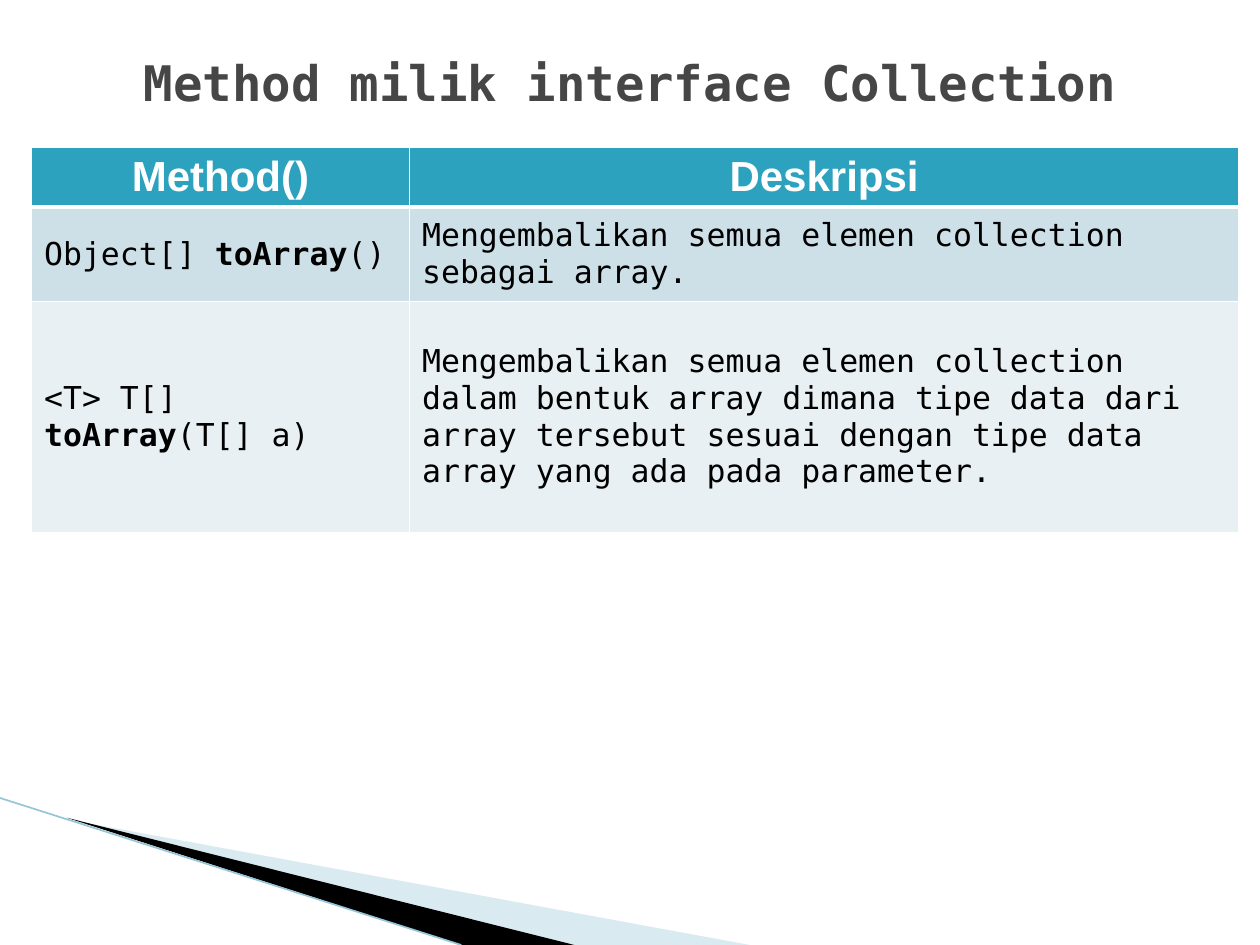
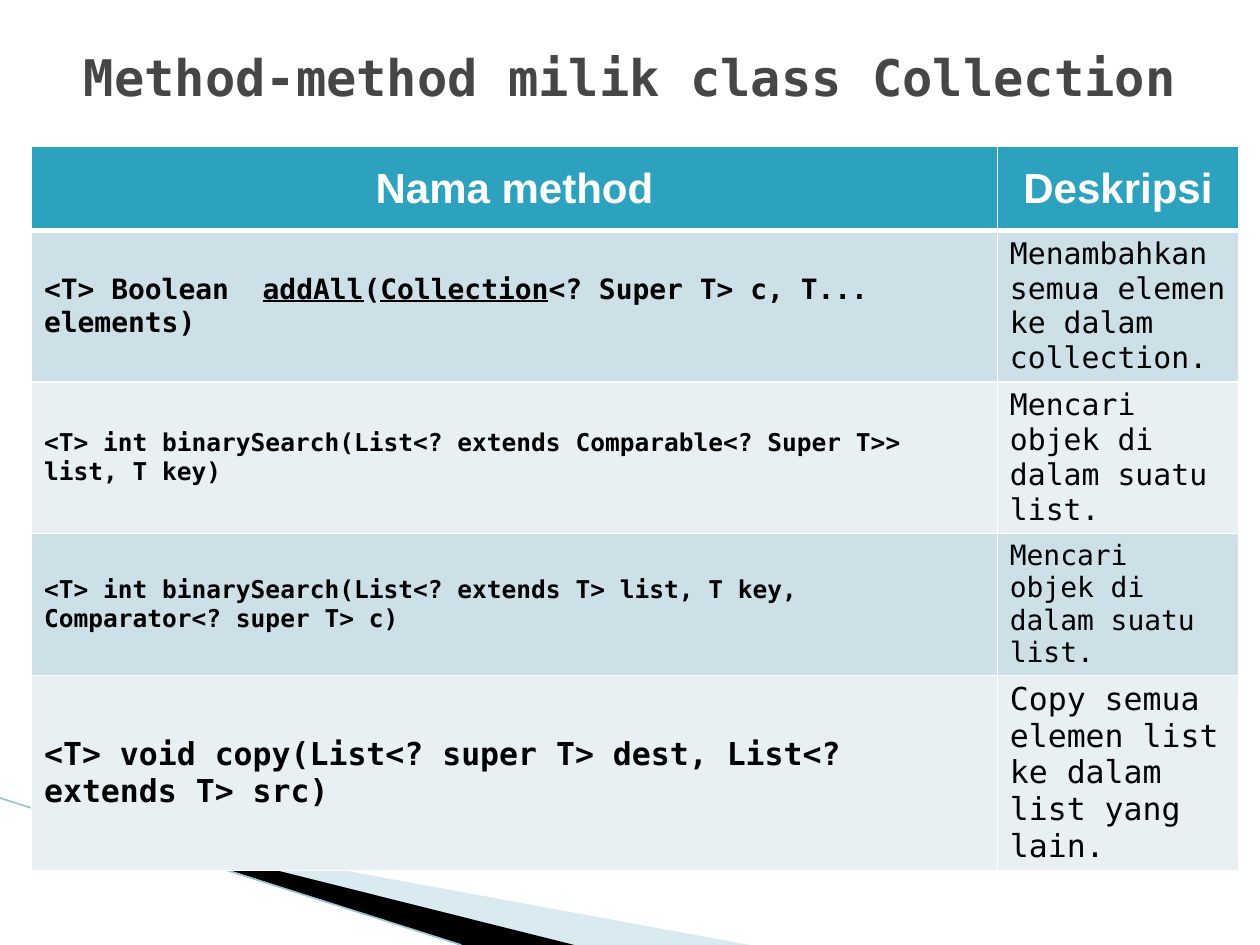
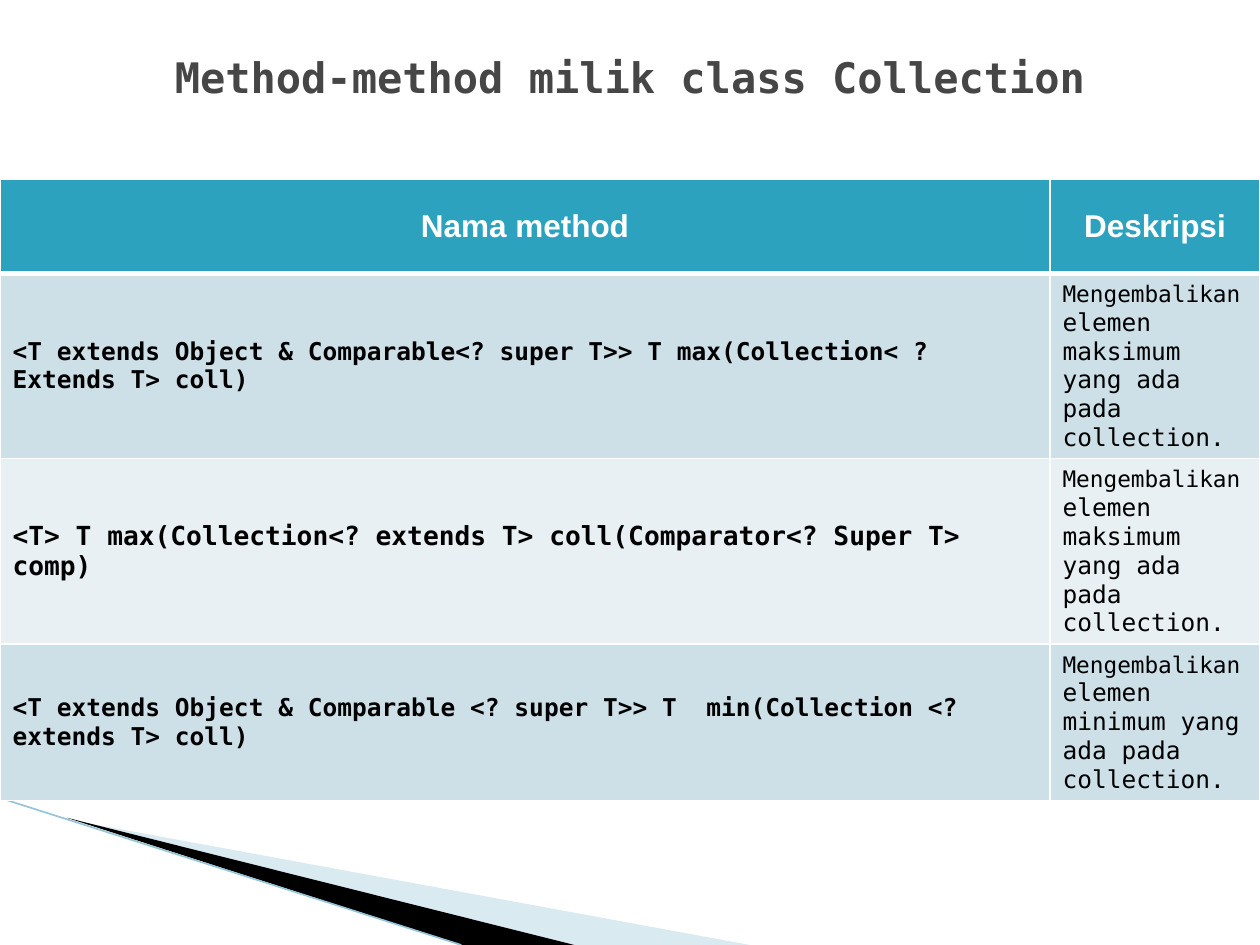
from lxml import etree
from pptx import Presentation
from pptx.dml.color import RGBColor
from pptx.enum.shapes import MSO_CONNECTOR
from pptx.enum.text import MSO_ANCHOR, MSO_AUTO_SIZE, PP_ALIGN
from pptx.oxml.ns import qn
from pptx.util import Pt

STRAIGHT = MSO_CONNECTOR.STRAIGHT
MIDDLE = MSO_ANCHOR.MIDDLE
NO_FIT = MSO_AUTO_SIZE.NONE
CENTER, LEFT = PP_ALIGN.CENTER, PP_ALIGN.LEFT

HEAD_FONT, CODE_FONT = "Arial", "DejaVu Sans Mono"
WHITE, BLACK, TITLE_GREY = "FFFFFF", "000000", "464646"
HEAD_FILL, ROW_FILLS = "2DA2BF", ("CDE0E8", "E8F0F4")
SWOOSH_BLUE, SWOOSH_EDGE = "A0CBDC", "97C5D8"
TITLE_ONLY = 5

SLIDES = [
    {
        "title": "Method milik interface Collection",
        "title_size": 28,
        "title_height": 50.4,
        "table_box": (18, 84.25, 689.8),
        "columns": (216, 473.8),
        "heights": (31, 54, 132),
        "head_size": 24,
        "head": ("Method()", "Deskripsi"),
        "rows": [
            ([("Object[] ", 18, ""), ("toArray", 18, "b"), ("()", 18, "")],
             [("Mengembalikan semua elemen collection sebagai array.", 18, "")]),
            ([("<T> T[]  ", 18, ""), ("toArray", 18, "b"), ("(T[] a)", 18, "")],
             [("Mengembalikan semua elemen collection dalam bentuk array dimana "
               "tipe data dari array tersebut sesuai dengan tipe data array yang "
               "ada pada parameter.", 18, "")]),
        ],
    },
    {
        "title": "Method-method milik class Collection",
        "title_size": 28.8,
        "title_height": 44.6,
        "table_box": (18, 83.75, 689.8),
        "columns": (551.9, 137.9),
        "heights": (48, 67.5, 67.5, 67.5, 67.5),
        "head_size": 24,
        "head": ("Nama method", "Deskripsi"),
        "rows": [
            ([("<T> Boolean  ", 16, "b"), ("addAll", 16, "bu"), ("(", 16, "b"),
              ("Collection", 16, "bu"), ("<? Super T> c, T... elements)", 16, "b")],
             [("Menambahkan semua elemen ke dalam collection.", 17, "")]),
            ([("<T> int binarySearch(List<? extends Comparable<? Super T>> "
               " list, T key)", 14, "b")],
             [("Mencari objek di dalam suatu list.", 17, "")]),
            ([("<T> int binarySearch(List<? extends T> list, T key, "
               "Comparator<? super T> c)", 14, "b")],
             [("Mencari objek di dalam suatu list.", 16, "")]),
            ([("<T> void copy(List<? super T> dest, List<? extends T> src)", 18, "b")],
             [("Copy semua elemen list ke dalam list yang lain.", 18, "")]),
        ],
    },
    {
        "title": "Method-method milik class Collection",
        "title_size": 24,
        "title_height": 44.6,
        "table_box": (0, 102.25, 720),
        "columns": (600, 120),
        "heights": (54, 67.5, 67.5, 67.5),
        "head_size": 18,
        "head": ("Nama method", "Deskripsi"),
        "rows": [
            ([("<T extends Object & Comparable<? super T>> T max(Collection< ? "
               "Extends T> coll)", 14, "b")],
             [("Mengembalikan", 13, ""),
              (" elemen maksimum yang ada pada collection.", 14, "")]),
            ([("<T> T max(Collection<? extends T> coll(Comparator<? Super T> comp)",
               15, "b")],
             [("Mengembalikan", 13, ""),
              (" elemen maksimum yang ada pada collection.", 14, "")]),
            ([("<T extends Object & Comparable <? super T>> T  min(Collection <? "
               "extends T> coll)", 14, "b")],
             [("Mengembalikan", 13, ""),
              (" elemen minimum yang ada pada collection.", 14, "")]),
        ],
    },
]


def rgb(value):
    """Turn a hex string into a colour."""
    return RGBColor.from_string(value)


def style_font(font, name, size, color, marks=""):
    """Set the face, size, colour and marks (b bold, u underline) of a font."""
    font.name, font.size = name, Pt(size)
    font.color.rgb = rgb(color)
    font.bold, font.underline = "b" in marks, "u" in marks


def add_wedge(page, points, color, opacity=100):
    """Draw a borderless polygon through the points."""
    corners = [(Pt(x), Pt(y)) for x, y in points]
    builder = page.shapes.build_freeform(*corners[0], scale=1.0)
    builder.add_line_segments(corners[1:], close=True)
    wedge = builder.convert_to_shape()
    wedge.shadow.inherit = False
    wedge.fill.solid()
    wedge.fill.fore_color.rgb = rgb(color)
    wedge.line.fill.background()
    if opacity < 100:
        tint = wedge.element.spPr.find(".//" + qn("a:srgbClr"))
        etree.SubElement(tint, qn("a:alpha")).set("val", str(opacity * 1000))
    return wedge


def add_swoosh(page):
    """Draw the corner swoosh and hand it to the layout that all slides share."""
    pale = add_wedge(page, [(39.6, 468.5), (428.4, 540), (328.3, 540)], SWOOSH_BLUE, 40)
    dark = add_wedge(page, [(38.2, 467.3), (328.3, 540), (263.6, 540)], BLACK)
    edge = page.shapes.add_connector(STRAIGHT, Pt(0), Pt(456), Pt(263.6), Pt(540))
    edge.line.color.rgb = rgb(SWOOSH_EDGE)
    edge.line.width = Pt(0.95)
    etree.SubElement(edge.element.spPr, qn("a:effectLst"))
    for number, part in enumerate((pale, dark, edge), start=101):
        part.element.xpath(".//p:cNvPr")[0].set("id", str(number))
        page.slide_layout.shapes.element.append(part.element)


def set_title(page, text, size, box):
    """Place and format the title placeholder."""
    title = page.shapes.title
    title.left, title.top, title.width, title.height = map(Pt, box)
    frame = title.text_frame
    frame.text = text
    frame.word_wrap = True
    frame.auto_size = NO_FIT
    frame.vertical_anchor = MIDDLE
    para = frame.paragraphs[0]
    para.alignment = CENTER
    style_font(para.runs[0].font, CODE_FONT, size, TITLE_GREY, "b")


def set_borders(cell, top, bottom):
    """Give a cell white borders, with the stated widths above and below."""
    properties = cell._tc.get_or_add_tcPr()
    sides = (("a:lnL", 1), ("a:lnR", 1), ("a:lnT", top), ("a:lnB", bottom))
    for index, (tag, width) in enumerate(sides):
        line = etree.Element(qn(tag), w=str(Pt(width)))
        fill = etree.SubElement(line, qn("a:solidFill"))
        etree.SubElement(fill, qn("a:srgbClr"), val=WHITE)
        properties.insert(index, line)


def fill_cell(cell, spans, font_name, color, fill, alignment):
    """Write formatted spans into a filled cell."""
    cell.fill.solid()
    cell.fill.fore_color.rgb = rgb(fill)
    cell.vertical_anchor = MIDDLE
    para = cell.text_frame.paragraphs[0]
    para.alignment = alignment
    for text, size, marks in spans:
        span = para.add_run()
        span.text = text
        style_font(span.font, font_name, size, color, marks)


def add_method_table(page, content):
    """Add the table of methods and their descriptions."""
    left, top, width = content["table_box"]
    heights, columns = content["heights"], content["columns"]
    table = page.shapes.add_table(
        len(heights), len(columns), Pt(left), Pt(top), Pt(width), Pt(sum(heights))
    ).table
    table.horz_banding = False
    for column, column_width in zip(table.columns, columns):
        column.width = Pt(column_width)
    for row, height in zip(table.rows, heights):
        row.height = Pt(height)
    for index, label in enumerate(content["head"]):
        cell = table.cell(0, index)
        spans = [(label, content["head_size"], "b")]
        fill_cell(cell, spans, HEAD_FONT, WHITE, HEAD_FILL, CENTER)
        set_borders(cell, 1, 3)
    for number, row in enumerate(content["rows"], start=1):
        for index, spans in enumerate(row):
            cell = table.cell(number, index)
            fill_cell(cell, spans, CODE_FONT, BLACK, ROW_FILLS[(number - 1) % 2], LEFT)
            set_borders(cell, 3 if number == 1 else 1, 1)


def add_method_slide(deck, content):
    """Add a slide with a title and a table of methods."""
    page = deck.slides.add_slide(deck.slide_layouts[TITLE_ONLY])
    title_box = (36, 21.6, 648, content["title_height"])
    set_title(page, content["title"], content["title_size"], title_box)
    add_method_table(page, content)
    return page


def main():
    """Build and save the deck."""
    deck = Presentation()
    deck.slide_width, deck.slide_height = Pt(720), Pt(540)
    pages = [add_method_slide(deck, content) for content in SLIDES]
    add_swoosh(pages[0])
    deck.save("out.pptx")


if __name__ == "__main__":
    main()
